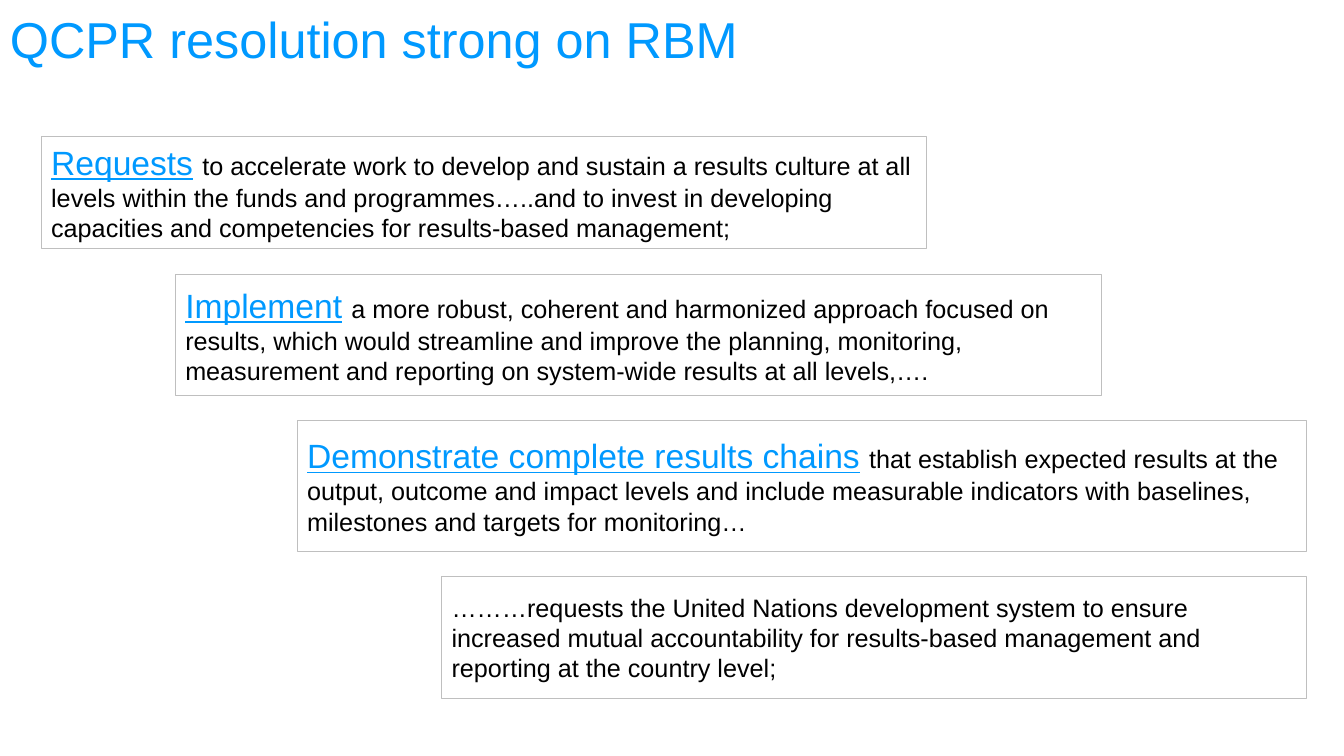
from pptx import Presentation
from pptx.dml.color import RGBColor
from pptx.enum.shapes import MSO_SHAPE
from pptx.enum.text import MSO_ANCHOR, PP_ALIGN
from pptx.util import Cm, Pt

BLUE, BLACK, GREY = "0099FF", "000000", "BFBFBF"

# left, top, width, height in cm, then the lead words and the text
QUOTES = [
    (1.04, 3.43, 22.3, 2.84, "Requests",
     "to accelerate work to develop and sustain a results culture at all levels "
     "within the funds and programmes…..and to invest in developing capacities "
     "and competencies for results-based management;"),
    (4.42, 6.91, 23.34, 3.07, "Implement",
     "a more robust, coherent and harmonized approach focused on results, which "
     "would streamline and improve the planning, monitoring, measurement and "
     "reporting on system-wide results at all levels,…."),
    (7.49, 10.59, 25.43, 3.3, "Demonstrate complete results chains",
     "that establish expected results at the output, outcome and impact levels "
     "and include measurable indicators with baselines, milestones and targets "
     "for monitoring…"),
    (11.13, 14.53, 21.79, 3.07, "",
     "………requests the United Nations development system to ensure increased "
     "mutual accountability for results-based management and reporting at the "
     "country level;"),
]


def rgb(value):
    return RGBColor.from_string(value)


def add_run(p, text, size, color, underline=False):
    r = p.add_run()
    r.text = text
    r.font.name = "Arial"
    r.font.size = Pt(size)
    r.font.color.rgb = rgb(color)
    r.font.underline = underline


def add_title(s, text, width):
    tf = s.shapes.add_textbox(0, 0, width, Cm(2.13)).text_frame
    tf.word_wrap = True
    tf.vertical_anchor = MSO_ANCHOR.MIDDLE
    p = tf.paragraphs[0]
    p.line_spacing = 0.9
    add_run(p, text, 36, BLUE)


def add_quote(s, left, top, width, height, lead, text):
    sp = s.shapes.add_shape(MSO_SHAPE.RECTANGLE, Cm(left), Cm(top), Cm(width), Cm(height))
    sp.shadow.inherit = False
    sp.fill.background()
    sp.line.color.rgb = rgb(GREY)
    sp.line.width = Pt(0.75)
    tf = sp.text_frame
    tf.word_wrap = True
    tf.vertical_anchor = MSO_ANCHOR.MIDDLE
    p = tf.paragraphs[0]
    p.alignment = PP_ALIGN.LEFT
    if lead:
        add_run(p, lead, 24, BLUE, underline=True)
        add_run(p, " ", 24, BLUE)
    add_run(p, text, 18, BLACK)


def main():
    prs = Presentation()
    prs.slide_width, prs.slide_height = Cm(33.87), Cm(19.05)
    s = prs.slides.add_slide(prs.slide_layouts[6])

    # Heading
    add_title(s, "QCPR resolution strong on RBM", prs.slide_width)

    # Staircase of quotes
    for quote in QUOTES:
        add_quote(s, *quote)

    prs.save("out.pptx")


if __name__ == "__main__":
    main()
